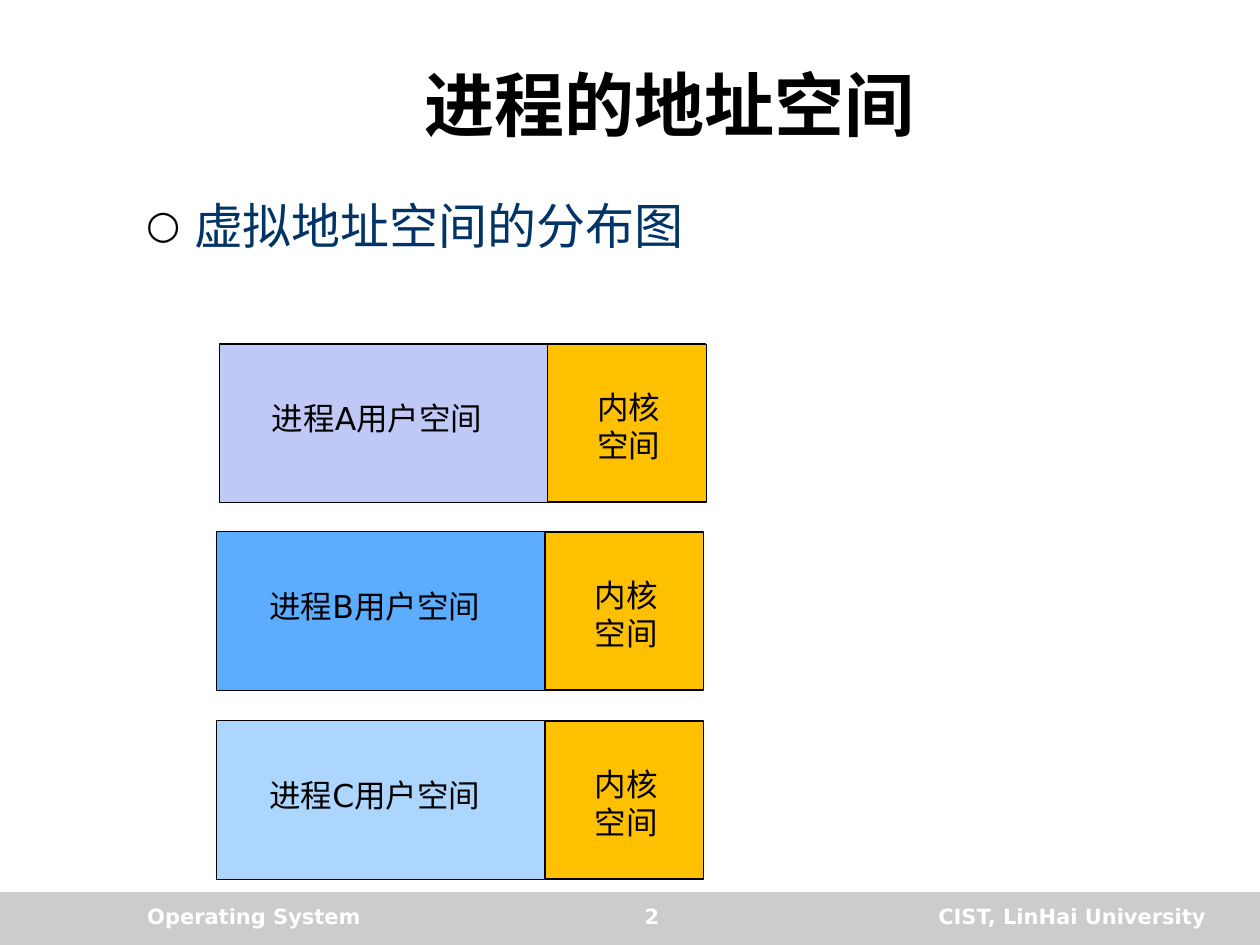
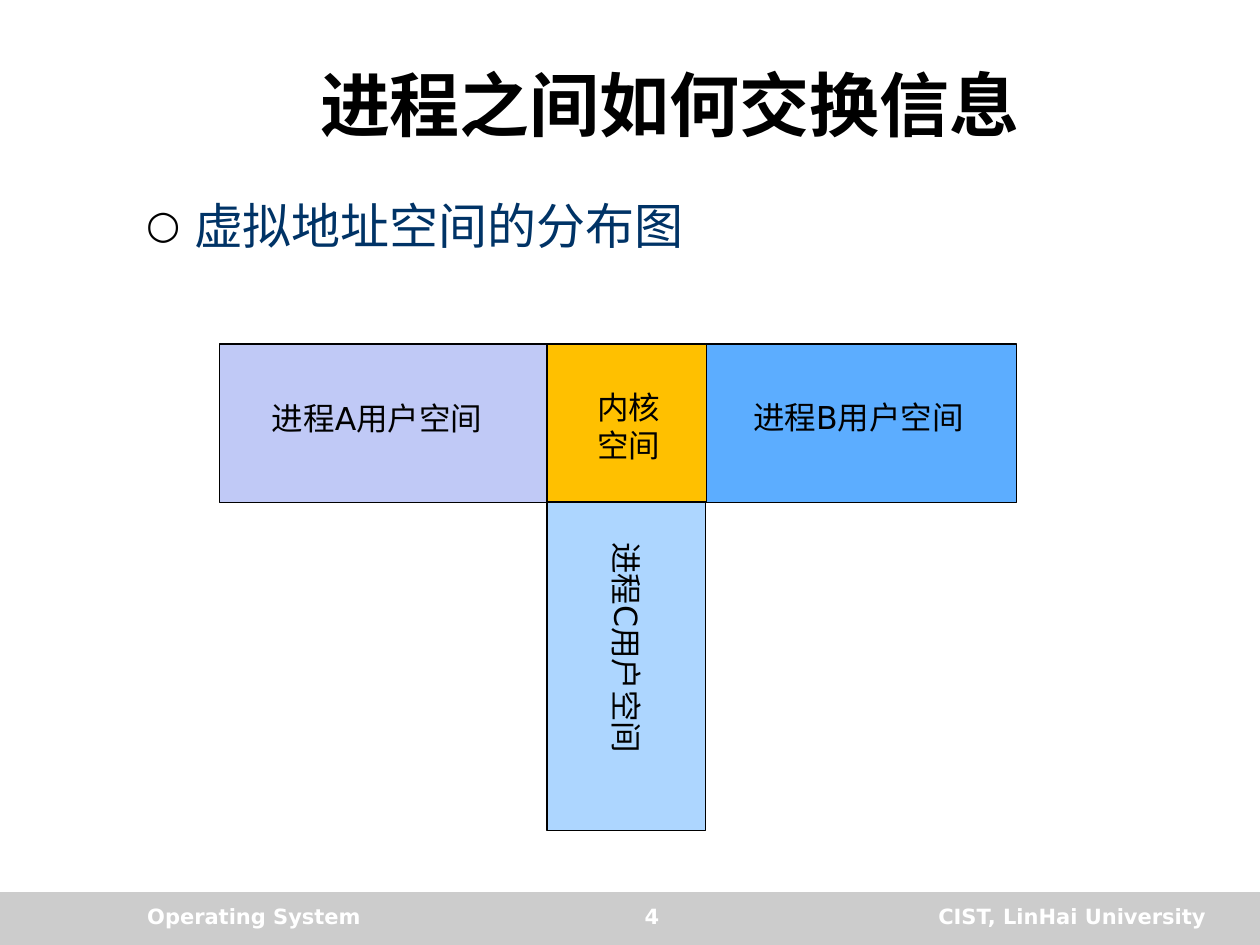
import dataclasses

import pptx
import pptx.dml.color
import pptx.enum.shapes
import pptx.enum.text
import pptx.oxml
import pptx.oxml.ns
import pptx.util

ALIGN = pptx.enum.text.PP_ALIGN
ANCHOR = pptx.enum.text.MSO_ANCHOR
FIT = pptx.enum.text.MSO_AUTO_SIZE
RECTANGLE = pptx.enum.shapes.MSO_SHAPE.RECTANGLE
EMU_PER_PX = 9144  # 100 px to the inch


@dataclasses.dataclass(frozen=True)
class Theme:
    # Colours
    ink: str = "000000"
    bullet_text: str = "003366"
    band: str = "CCCCCC"
    footer_text: str = "FFFFFF"
    process_a: str = "C0C9F6"
    process_b: str = "5CADFF"
    process_c: str = "ADD6FF"
    kernel: str = "FFC000"
    # Type
    title_font: str = "Times New Roman"
    text_font: str = "DejaVu Sans"
    title_size: int = 40
    bullet_size: int = 28
    label_size: int = 18
    footer_size: int = 12
    line_width: float = 0.75


def px(length):
    return pptx.util.Emu(length * EMU_PER_PX)


def rgb(colour):
    return pptx.dml.color.RGBColor.from_string(colour)


def assign(target, values):
    for name, value in values.items():
        setattr(target, name, value)


class Deck:
    USER_SIZE = (386, 126)
    KERNEL_SIZE = (125, 126)

    def __init__(self, theme):
        self.theme = theme
        self.presentation = pptx.Presentation()
        assign(self.presentation, {"slide_width": px(1000), "slide_height": px(750)})
        self.slide = None

    # Text
    def set_text(self, frame, lines, size, colour, font=None, bold=False,
                 align=ALIGN.LEFT, **frame_format):
        assign(frame, {"word_wrap": True, "auto_size": FIT.NONE, **frame_format})
        frame.text = "\n".join(lines)
        for paragraph in frame.paragraphs:
            paragraph.alignment = align
            for run in paragraph.runs:
                assign(run.font, {"name": font or self.theme.text_font,
                                  "size": pptx.util.Pt(size), "bold": bold})
                run.font.color.rgb = rgb(colour)

    def place(self, shape, left, top, width, height):
        assign(shape, {"left": px(left), "top": px(top),
                       "width": px(width), "height": px(height)})

    def text_box(self, left, top, width, height, rotation=0):
        box = self.slide.shapes.add_textbox(px(left), px(top), px(width), px(height))
        box.rotation = rotation
        return box.text_frame

    # Slide frame: title, bullet, footer
    def start_slide(self, title, bullet, number):
        layout = self.presentation.slide_layouts[1]
        self.slide = self.presentation.slides.add_slide(layout)
        self.title(title)
        self.bullet(bullet)
        self.footer(number)

    def title(self, wording):
        heading = self.slide.shapes.title
        self.place(heading, 106, 33, 851, 98)
        self.set_text(heading.text_frame, [wording], self.theme.title_size,
                      self.theme.ink, font=self.theme.title_font, bold=True,
                      align=ALIGN.CENTER, vertical_anchor=ANCHOR.MIDDLE)

    def bullet(self, wording):
        body = self.slide.placeholders[1]
        self.place(body, 106, 150, 882, 548)
        self.set_text(body.text_frame, [wording], self.theme.bullet_size,
                      self.theme.bullet_text, vertical_anchor=ANCHOR.TOP)
        paragraph = body.text_frame.paragraphs[0]
        paragraph.space_before = pptx.util.Pt(0.2 * self.theme.bullet_size)
        properties = paragraph._p.get_or_add_pPr()
        properties.set("marL", str(px(38)))
        properties.set("indent", str(px(-38)))
        namespace = pptx.oxml.ns.nsdecls("a")
        for mark in (
            f'<a:buClr {namespace}><a:srgbClr val="{self.theme.ink}"/></a:buClr>',
            f'<a:buSzPct {namespace} val="80000"/>',
            f'<a:buFont {namespace} typeface="{self.theme.text_font}"/>',
            f'<a:buChar {namespace} char="○"/>',
        ):
            properties.append(pptx.oxml.parse_xml(mark))

    def footer(self, number):
        self.block((0, 708), (1000, 42), self.theme.band, outlined=False)
        for wording, left, width, align in (
            ("Operating System", 107, 275, ALIGN.LEFT),
            ("CIST, LinHai University", 650, 317, ALIGN.RIGHT),
            (str(number), 401, 233, ALIGN.CENTER),
        ):
            self.set_text(self.text_box(left, 712, width, 33), [wording],
                          self.theme.footer_size, self.theme.footer_text,
                          bold=True, align=align)

    # Address space parts
    def block(self, corner, size, fill, rotation=0, outlined=True):
        shape = self.slide.shapes.add_shape(RECTANGLE, *map(px, corner + size))
        shape.rotation = rotation
        shape.shadow.inherit = False
        shape.fill.solid()
        shape.fill.fore_color.rgb = rgb(fill)
        if outlined:
            shape.line.color.rgb = rgb(self.theme.ink)
            shape.line.width = pptx.util.Pt(self.theme.line_width)
        else:
            shape.line.fill.background()

    def label(self, lines, left, top, width, height, rotation=0):
        self.set_text(self.text_box(left, top, width, height, rotation), lines,
                      self.theme.label_size, self.theme.ink,
                      auto_size=FIT.SHAPE_TO_FIT_TEXT)

    def user_space(self, process, fill, corner, label_corner, rotation=0):
        self.block(corner, self.USER_SIZE, fill, rotation)
        self.label([f"进程{process}用户空间"], *label_corner, 193, 40, rotation)

    def kernel_space(self, left, top):
        self.block((left, top), self.KERNEL_SIZE, self.theme.kernel, rotation=90)
        self.label(["内核", "空间"], left + 29, top + 30, 101, 71)


def main():
    theme = Theme()
    deck = Deck(theme)
    bullet = "虚拟地址空间的分布图"

    # Each process with its own view of the kernel
    deck.start_slide("进程的地址空间", bullet, 2)
    for process, fill, left, top in (
        ("A", theme.process_a, 174, 273),
        ("B", theme.process_b, 172, 422),
        ("C", theme.process_c, 172, 572),
    ):
        deck.user_space(process, fill, (left, top), (left + 32, top + 39))
        deck.kernel_space(left + 261, top)

    # All processes meeting at one shared kernel
    deck.start_slide("进程之间如何交换信息", bullet, 4)
    deck.user_space("B", theme.process_b, (421, 273), (588, 311))
    deck.user_space("A", theme.process_a, (174, 273), (206, 312))
    deck.user_space("C", theme.process_c, (304, 403), (401, 497), rotation=90)
    deck.kernel_space(435, 273)

    deck.presentation.save("out.pptx")


if __name__ == "__main__":
    main()
